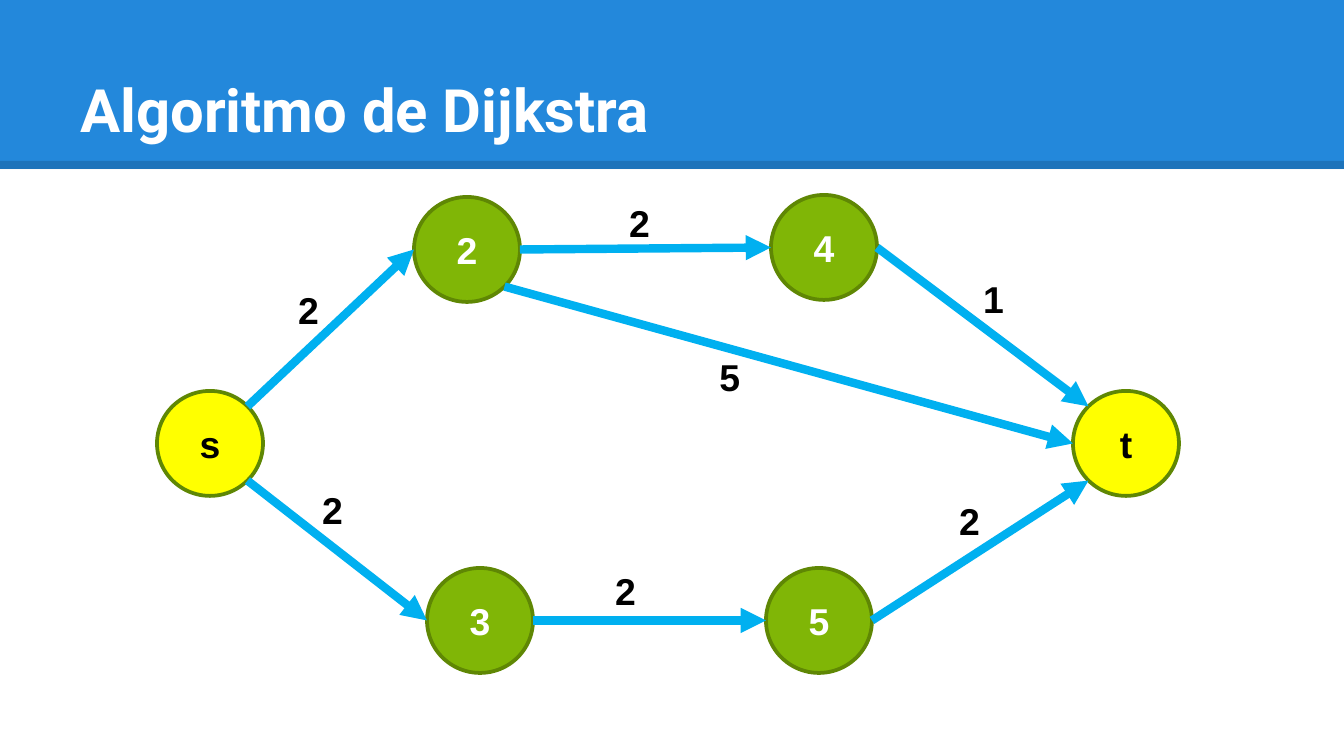
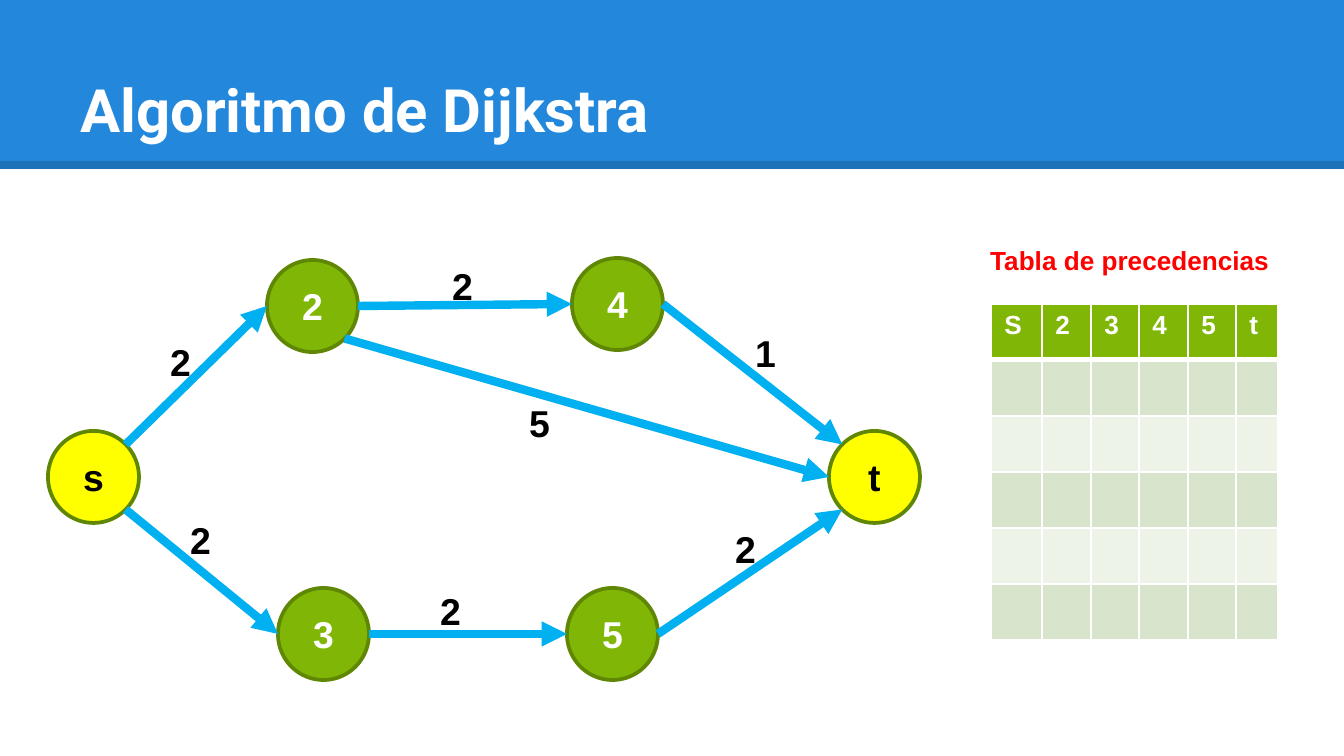
from dataclasses import dataclass
from math import cos, radians, sin

from lxml.etree import SubElement
from pptx import Presentation
from pptx.dml.color import RGBColor
from pptx.enum.shapes import MSO_CONNECTOR, MSO_SHAPE
from pptx.enum.text import MSO_ANCHOR, PP_ALIGN
from pptx.oxml.ns import qn
from pptx.util import Emu, Pt

SCALE = 914400 / 134.4  # EMU per pixel
WIDTH, HEIGHT = 1344, 756


@dataclass(frozen=True)
class Theme:
    """Colours, fonts, type sizes and line widths of the deck."""
    band: str = "2388DB"
    black: str = "000000"
    white: str = "FFFFFF"
    terminal: str = "FFFF00"
    green: str = "80B606"
    outline: str = "5F8704"
    edge: str = "00B0F0"
    caption: str = "FF0000"
    stripes: tuple = ("D8E5CC", "EDF3E7")
    title_font: str = "Roboto"
    body_font: str = "Arial"
    title_size: int = 32
    graph_size: int = 20
    table_size: int = 14
    heavy: float = 4.5
    thin: float = 2


# Connection sites of an ellipse, counted anticlockwise from the top
TOP_LEFT, LEFT, BOTTOM_LEFT, BOTTOM_RIGHT, RIGHT, TOP_RIGHT = 1, 2, 3, 5, 6, 7

# Edges of the graph: start node, site, end node, site, weight
EDGES = (
    ("s", TOP_RIGHT, "2", LEFT, "2"),
    ("s", BOTTOM_RIGHT, "3", LEFT, "2"),
    ("2", RIGHT, "4", LEFT, "2"),
    ("4", RIGHT, "t", TOP_LEFT, "1"),
    ("5", RIGHT, "t", BOTTOM_LEFT, "2"),
    ("2", BOTTOM_RIGHT, "t", LEFT, "5"),
    ("3", RIGHT, "5", LEFT, "2"),
)


def px(length):
    """Turn pixels into EMU."""
    return Emu(round(length * SCALE))


def rgb(colour):
    """Turn a hex string into a colour."""
    return RGBColor.from_string(colour)


class Deck:
    """Holds the theme and the slide being built."""

    def __init__(self):
        self.theme = Theme()
        self.prs = Presentation()
        self.prs.slide_width, self.prs.slide_height = px(WIDTH), px(HEIGHT)
        self.shapes = None

    def slide(self, title):
        """Start a slide with the title band."""
        theme = self.theme
        self.shapes = self.prs.slides.add_slide(self.prs.slide_layouts[6]).shapes
        self.shape(MSO_SHAPE.RECTANGLE, (0, 0, WIDTH, 169), theme.band)
        rule = self.line((0, px(165)), (px(WIDTH), px(165)), theme.black)
        tint = rule.line.fill.fore_color
        colour = rule.element.spPr.find(".//" + qn("a:srgbClr"))
        SubElement(colour, qn("a:alpha"), val="14000")
        frame = self.text((67, 31, 1210, 126), title, theme.title_size, theme.white,
                          theme.title_font, wrap=True)
        frame.vertical_anchor = MSO_ANCHOR.BOTTOM
        frame.margin_top = frame.margin_bottom = px(13)

    def run(self, frame, words, size, colour, font=None):
        """Add one bold run to the first paragraph of a frame."""
        run = frame.paragraphs[0].add_run()
        run.text = words
        run.font.size, run.font.bold = Pt(size), True
        run.font.name = font or self.theme.body_font
        run.font.color.rgb = rgb(colour)

    def text(self, box, words, size, colour, font=None, wrap=False):
        """Add a text box and return its frame."""
        frame = self.shapes.add_textbox(*map(px, box)).text_frame
        frame.word_wrap = wrap
        self.run(frame, words, size, colour, font)
        return frame

    def shape(self, preset, box, fill, outline=None):
        """Add a filled preset shape."""
        shape = self.shapes.add_shape(preset, *map(px, box))
        shape.shadow.inherit = False
        shape.fill.solid()
        shape.fill.fore_color.rgb = rgb(fill)
        if outline:
            shape.line.color.rgb = rgb(outline)
            shape.line.width = Pt(self.theme.thin)
        else:
            shape.line.fill.background()
        return shape

    def line(self, start, end, colour):
        """Add a heavy straight line between two points in EMU."""
        line = self.shapes.add_connector(MSO_CONNECTOR.STRAIGHT, *start, *end)
        line.line.color.rgb = rgb(colour)
        line.line.width = Pt(self.theme.heavy)
        SubElement(line.element.spPr, qn("a:effectLst"))
        return line

    def node(self, label, box):
        """Add a graph node; the two ends of the route are yellow."""
        theme = self.theme
        fill, ink = ((theme.terminal, theme.black) if label in "st"
                     else (theme.green, theme.white))
        node = self.shape(MSO_SHAPE.OVAL, box, fill, theme.outline)
        frame = node.text_frame
        frame.vertical_anchor = MSO_ANCHOR.MIDDLE
        frame.paragraphs[0].alignment = PP_ALIGN.CENTER
        self.run(frame, label, theme.graph_size, ink)
        return node

    def site(self, node, index):
        """Return the point of a connection site on a node."""
        angle = radians(45 * index)
        return (Emu(round(node.left + node.width * (1 - sin(angle)) / 2)),
                Emu(round(node.top + node.height * (1 - cos(angle)) / 2)))

    def edge(self, start, start_site, end, end_site):
        """Join two nodes with an arrow attached to their sites."""
        arrow = self.line(self.site(start, start_site), self.site(end, end_site),
                          self.theme.edge)
        SubElement(arrow.line._get_or_add_ln(), qn("a:tailEnd"), type="triangle")
        ends = arrow.element.nvCxnSpPr.cNvCxnSpPr
        for tag, node, index in (("a:stCxn", start, start_site),
                                 ("a:endCxn", end, end_site)):
            SubElement(ends, qn(tag), id=str(node.shape_id), idx=str(index))

    def graph(self, node_size, places, weight_size, weight_places, grouped=False):
        """Draw the weighted graph from the top left corners of its parts."""
        theme, page = self.theme, self.shapes
        if grouped:
            self.shapes = page.add_group_shape().shapes
        nodes = {label: self.node(label, corner + node_size)
                 for label, corner in places.items()}
        for start, start_site, end, end_site, _ in EDGES:
            self.edge(nodes[start], start_site, nodes[end], end_site)
        for (*_, weight), corner in zip(EDGES, weight_places):
            self.text(corner + weight_size, weight, theme.graph_size, theme.black)
        self.shapes = page

    def cell(self, cell, fill, bottom=1):
        """Give a table cell white borders and a fill."""
        properties = cell._tc.get_or_add_tcPr()
        for side, width in (("L", 1), ("R", 1), ("T", 1), ("B", bottom)):
            border = SubElement(properties, qn("a:ln" + side), w=str(Pt(width)))
            solid = SubElement(border, qn("a:solidFill"))
            SubElement(solid, qn("a:srgbClr"), val=self.theme.white)
        cell.fill.solid()
        cell.fill.fore_color.rgb = rgb(fill)

    def table(self, corner, headings, widths, row_height, blank_rows):
        """Add a table of headings over empty striped rows."""
        theme = self.theme
        rows = blank_rows + 1
        size = (sum(widths), row_height * rows)
        table = self.shapes.add_table(rows, len(headings),
                                      *map(px, corner + size)).table
        for column, width in zip(table.columns, widths):
            column.width = px(width)
        for row in table.rows:
            row.height = px(row_height)
        for col, heading in enumerate(headings):
            self.cell(table.cell(0, col), theme.green, bottom=3)
            self.run(table.cell(0, col).text_frame, heading,
                     theme.table_size, theme.white)
            for row in range(1, rows):
                self.cell(table.cell(row, col), theme.stripes[(row - 1) % 2])


def main():
    """Build the two slides and save them."""
    deck = Deck()
    title = "Algoritmo de Dijkstra"

    deck.slide(title)
    deck.graph(
        (106, 105),
        {"s": (157, 391), "3": (427, 568), "4": (771, 195),
         "t": (1073, 391), "2": (414, 197), "5": (766, 568)},
        (48, 59),
        ((285, 281), (309, 481), (616, 194), (970, 270),
         (946, 492), (706, 348), (602, 562)))

    deck.slide(title)
    deck.graph(
        (91, 92),
        {"s": (48, 431), "3": (278, 588), "4": (572, 258),
         "t": (829, 431), "2": (267, 260), "5": (567, 588)},
        (42, 52),
        ((157, 333), (177, 511), (439, 257), (742, 324),
         (722, 520), (516, 394), (427, 582)),
        grouped=True)
    deck.table((991, 304), "S2345t", (51, 49, 48, 49, 48, 42), 56, blank_rows=5)
    deck.text((977, 238, 309, 46), "Tabla de precedencias",
              deck.theme.table_size, deck.theme.caption)

    deck.prs.save("out.pptx")


main()
